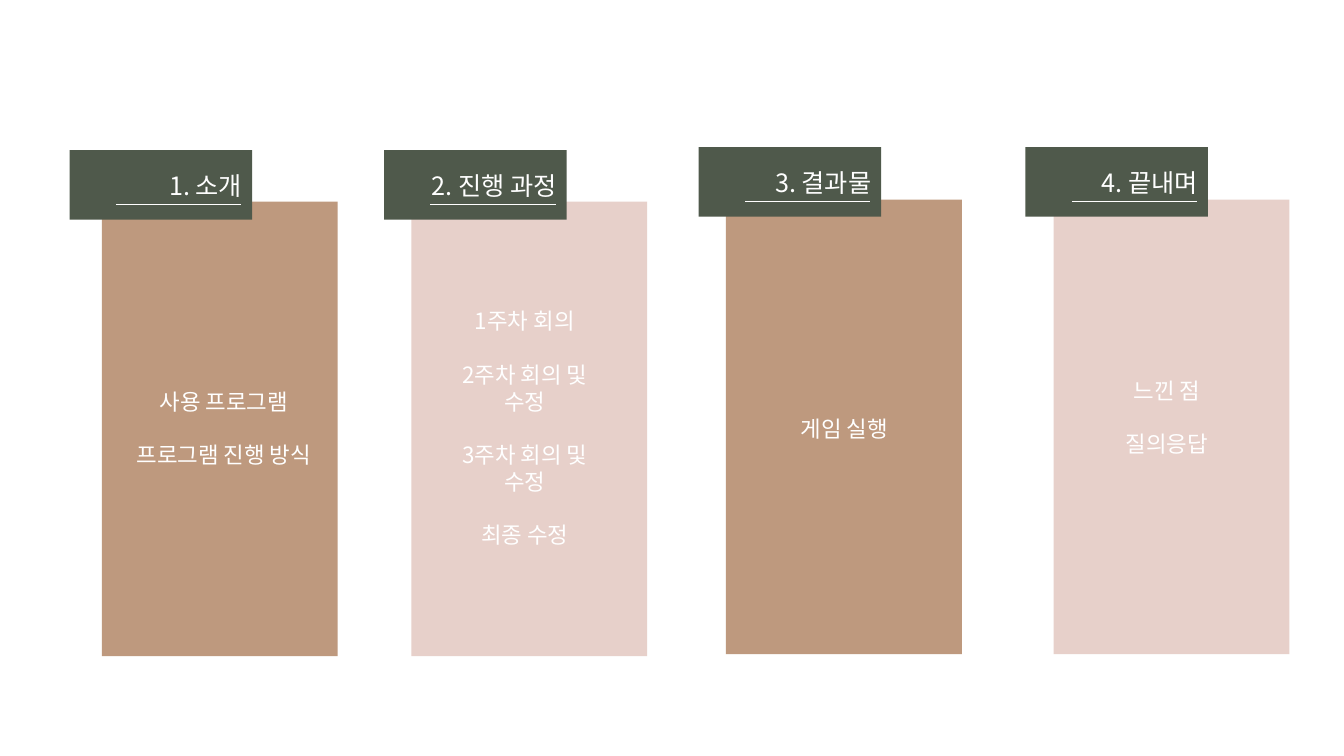
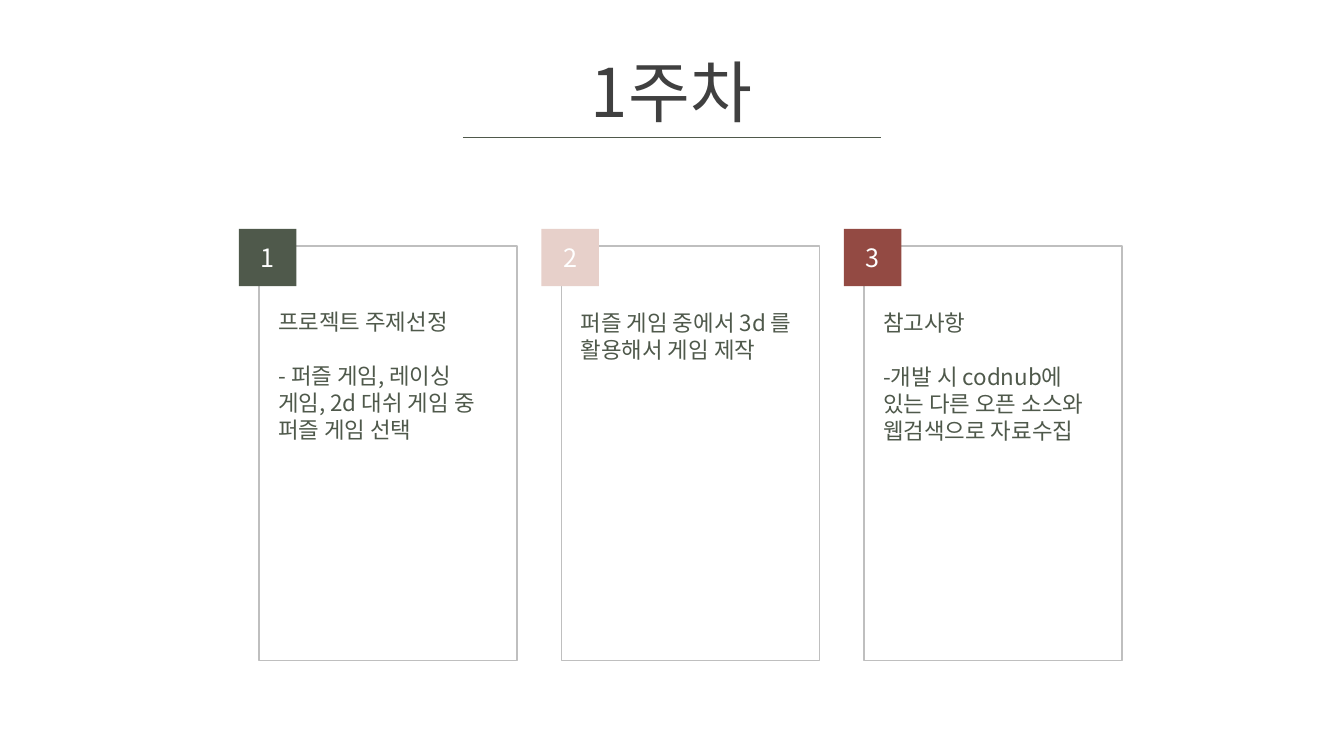
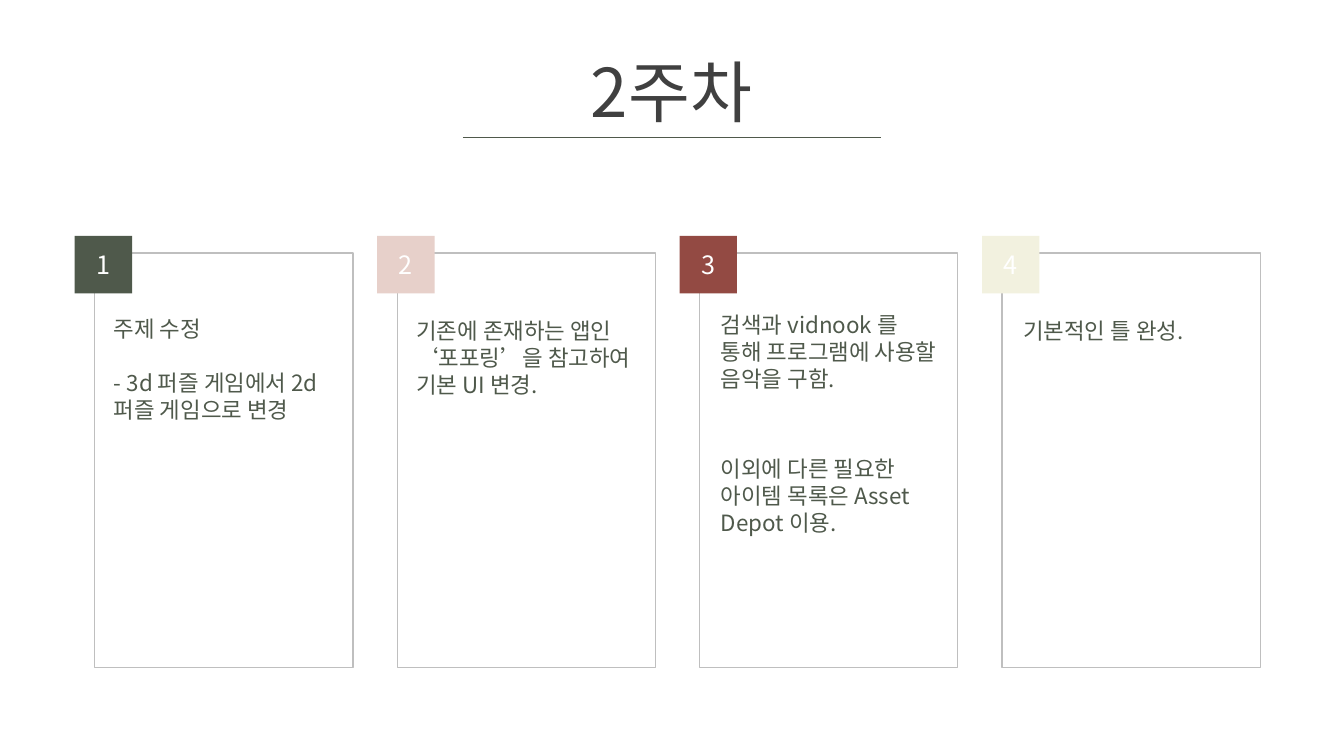
from dataclasses import dataclass

from lxml import etree
from pptx import Presentation
from pptx.dml.color import RGBColor
from pptx.enum.shapes import MSO_CONNECTOR, MSO_SHAPE
from pptx.enum.text import MSO_ANCHOR, MSO_AUTO_SIZE, PP_ALIGN
from pptx.oxml.ns import qn
from pptx.util import Pt

RECT = MSO_SHAPE.RECTANGLE
STRAIGHT = MSO_CONNECTOR.STRAIGHT
TOP, MIDDLE = MSO_ANCHOR.TOP, MSO_ANCHOR.MIDDLE
LEFT, CENTER, RIGHT = PP_ALIGN.LEFT, PP_ALIGN.CENTER, PP_ALIGN.RIGHT
NO_FIT = MSO_AUTO_SIZE.NONE

PX = 9144  # 100 px to the inch
LAYOUT = 4  # one title and four bodies


@dataclass(frozen=True)
class Theme:
    font: str = "Noto Sans CJK KR"
    green: str = "4F594B"
    pink: str = "E7D0CA"
    tan: str = "BE997E"
    red: str = "934A43"
    cream: str = "F2F1DF"
    white: str = "FFFFFF"
    ink: str = "404040"
    gray: str = "BFBFBF"
    title: int = 48
    label: int = 18
    body: int = 16
    leading: float = 1.2


THEME = Theme()
BADGES = (THEME.green, THEME.pink, THEME.red, THEME.cream)


@dataclass(frozen=True)
class Column:
    label: str
    tab: tuple[int, int]
    panel: tuple[int, int]
    fill: str
    box: tuple[int, int, int, int]
    lines: tuple[str, ...]


@dataclass(frozen=True)
class Card:
    lines: tuple[str, ...]
    shift: tuple[int, int] = (9, 58)
    gap: int = 19


@dataclass(frozen=True)
class Week:
    title: str
    left: int
    top: int
    cards: tuple[Card, ...]


COLUMNS = (
    Column("1. 소개", (69, 149), (101, 200), THEME.tan, (114, 380, 216, 91),
           ("사용 프로그램", "프로그램 진행 방식")),
    Column("2. 진행 과정", (381, 149), (408, 200), THEME.pink, (434, 300, 173, 252),
           ("1주차 회의", "2주차 회의 및 수정", "3주차 회의 및 수정", "최종 수정")),
    Column("3. 결과물", (693, 146), (720, 198), THEME.tan, (751, 407, 173, 37),
           ("게임 실행",)),
    Column("4. 끝내며", (1017, 146), (1045, 198), THEME.pink, (1071, 369, 173, 91),
           ("느낀 점", "질의응답")),
)

WEEKS = (
    Week("1주차", 257, 244, (
        Card(("프로젝트 주제선정",
              "- 퍼즐 게임, 레이싱 게임, 2d 대쉬 게임 중 퍼즐 게임 선택"), (9, 57)),
        Card(("퍼즐 게임 중에서 3d 를 활용해서 게임 제작",)),
        Card(("참고사항",
              "-개발 시 codnub에 있는 다른 오픈 소스와 웹검색으로 자료수집")),
    )),
    Week("2주차", 94, 251, (
        Card(("주제 수정", "- 3d 퍼즐 게임에서 2d 퍼즐 게임으로 변경"), (9, 57)),
        Card(("기존에 존재하는 앱인 ‘포포링’을 참고하여 기본 UI 변경.",), (9, 59)),
        Card(("검색과 vidnook 를 통해 프로그램에 사용할 음악을 구함.",
              "이외에 다른 필요한 아이템 목록은 Asset Depot 이용."), (11, 53), 45),
        Card(("기본적인 틀 완성.",), (11, 59)),
    )),
)


def write(shape, lines, *, size=THEME.body, color=THEME.green, align=LEFT,
          anchor=TOP, gap=19) -> None:
    frame = shape.text_frame
    frame.word_wrap = True
    frame.auto_size = NO_FIT
    frame.vertical_anchor = anchor
    for i, line in enumerate(lines):
        para = frame.add_paragraph() if i else frame.paragraphs[0]
        para.alignment = align
        para.line_spacing = Pt(size * THEME.leading)
        para.space_before = Pt(gap if i else 0)
        props = para._p.get_or_add_pPr()
        props.set("marL", "0")
        props.set("indent", "0")
        etree.SubElement(props, qn("a:buNone"))
        run = para.add_run()
        run.text = line
        run.font.size = Pt(size)
        run.font.bold = False
        run.font.color.rgb = RGBColor.from_string(color)
        run.font.name = THEME.font
        east = etree.SubElement(run.font._element, qn("a:ea"))
        east.set("typeface", THEME.font)


def place(shape, x: int, y: int, w: int, h: int) -> None:
    """Set the frame of a placeholder and bring it to the front."""
    shape.left, shape.top, shape.width, shape.height = (v * PX for v in (x, y, w, h))
    shape.element.getparent().append(shape.element)


def rect(slide, x: int, y: int, w: int, h: int, fill="", line=""):
    shape = slide.shapes.add_shape(RECT, x * PX, y * PX, w * PX, h * PX)
    shape.shadow.inherit = False
    if fill:
        shape.fill.solid()
        shape.fill.fore_color.rgb = RGBColor.from_string(fill)
    else:
        shape.fill.background()
    if line:
        shape.line.color.rgb = RGBColor.from_string(line)
        shape.line.width = Pt(1)
    else:
        shape.line.fill.background()
    return shape


def rule(slide, x: int, y: int, w: int, color: str) -> None:
    line = slide.shapes.add_connector(STRAIGHT, x * PX, y * PX, (x + w) * PX, y * PX)
    line.line.color.rgb = RGBColor.from_string(color)
    line.line.width = Pt(0.5)
    etree.SubElement(line.element.spPr, qn("a:effectLst"))


def start(deck):
    """Add a slide; return it with its title and its bodies."""
    slide = deck.slides.add_slide(deck.slide_layouts[LAYOUT])
    title, *bodies = list(slide.placeholders)
    return slide, title, bodies


def drop(shape) -> None:
    shape.element.getparent().remove(shape.element)


def agenda(deck) -> None:
    slide, title, bodies = start(deck)
    drop(title)
    for col, body in zip(COLUMNS, bodies):
        x, y = col.tab
        rect(slide, *col.panel, 234, 451, col.fill)
        tab = rect(slide, x, y, 181, 69, THEME.green)
        write(tab, [col.label], size=THEME.label, color=THEME.white,
              align=RIGHT, anchor=MIDDLE)
        place(body, *col.box)
        write(body, col.lines, color=THEME.white, align=CENTER)
        rule(slide, x + 46, y + 54, 124, THEME.white)


def report(deck, week: Week) -> None:
    slide, title, bodies = start(deck)
    # Heading
    place(title, 572, 45, 188, 91)
    write(title, [week.title], size=THEME.title, color=THEME.ink, align=CENTER)
    rule(slide, 459, 136, 415, THEME.green)
    # Cards with numbered badges
    for i, (card, body) in enumerate(zip(week.cards, bodies)):
        x, y = week.left + 300 * i, week.top
        dx, dy = card.shift
        rect(slide, x, y, 256, 411, line=THEME.gray)
        badge = rect(slide, x - 20, y - 17, 57, 57, BADGES[i])
        write(badge, [str(i + 1)], size=THEME.label, color=THEME.white,
              align=CENTER, anchor=MIDDLE)
        place(body, x + dx, y + dy, 234, 240)
        write(body, card.lines, gap=card.gap)
    for body in bodies[len(week.cards):]:
        drop(body)


def main() -> None:
    deck = Presentation()
    deck.slide_width, deck.slide_height = 1333 * PX, 750 * PX
    agenda(deck)
    for week in WEEKS:
        report(deck, week)
    deck.save("out.pptx")


if __name__ == "__main__":
    main()
